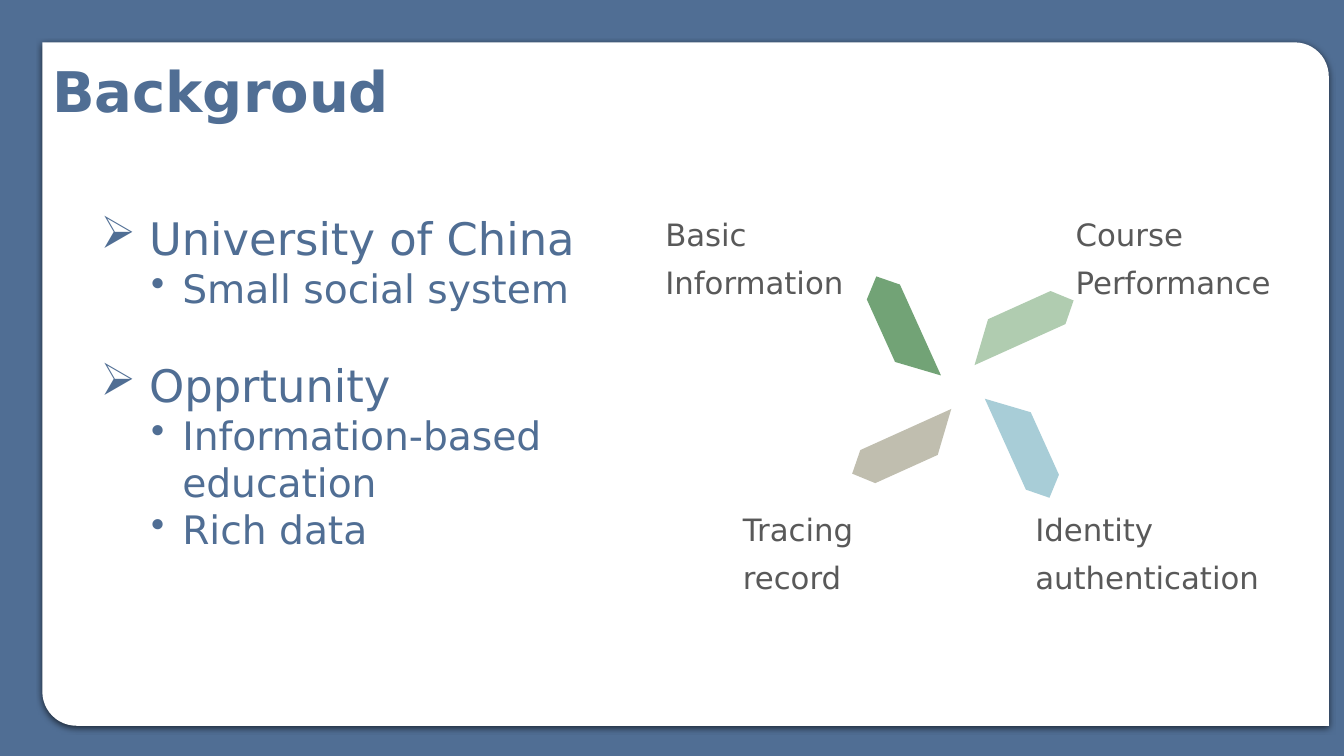
import math

import pptx
import pptx.dml.color
import pptx.enum.shapes
import pptx.enum.text
import pptx.util
from lxml import etree
from pptx.oxml.ns import qn
from pptx.util import Inches

NAVY = "506E94"
WHITE = "FFFFFF"
GREY = "595959"


def rgb(value):
    return pptx.dml.color.RGBColor.from_string(value)


class SlideBuilder:
    font_name = "DejaVu Sans"

    def __init__(self, slide):
        self.slide = slide

    def background(self, color):
        fill = self.slide.background.fill
        fill.solid()
        fill.fore_color.rgb = rgb(color)

    def paint(self, shape, color):
        shape.shadow.inherit = False
        shape.fill.solid()
        shape.fill.fore_color.rgb = rgb(color)
        shape.line.fill.background()

    def panel(self, left, top, width, height, rounding):
        panel = self.slide.shapes.add_shape(
            pptx.enum.shapes.MSO_SHAPE.ROUND_2_DIAG_RECTANGLE,
            Inches(left), Inches(top), Inches(width), Inches(height))
        panel.adjustments[0] = 0
        panel.adjustments[1] = rounding
        self.paint(panel, WHITE)
        effects = panel._element.spPr.find(qn("a:effectLst"))
        shadow = etree.SubElement(
            effects, qn("a:outerShdw"), blurRad=str(pptx.util.Pt(4.5)),
            dist=str(pptx.util.Pt(1.5)), dir="5400000", algn="t", rotWithShape="0")
        black = etree.SubElement(shadow, qn("a:srgbClr"), val="000000")
        etree.SubElement(black, qn("a:alpha"), val="63000")

    def blade(self, outline, center_x, center_y, angle, color):
        half_width = max(x for x, y in outline) / 2
        half_height = max(y for x, y in outline) / 2
        points = [(Inches(center_x - half_width + x), Inches(center_y - half_height + y))
                  for x, y in outline]
        builder = self.slide.shapes.build_freeform(*points[0])
        builder.add_line_segments(points[1:], close=True)
        blade = builder.convert_to_shape()
        blade.rotation = angle
        self.paint(blade, color)

    def frame(self, left, top, width, height):
        box = self.slide.shapes.add_textbox(
            Inches(left), Inches(top), Inches(width), Inches(height))
        box.text_frame.word_wrap = True
        return box.text_frame

    def style(self, paragraph, size, color, bold=False):
        for run in paragraph.runs:
            run.font.name = self.font_name
            run.font.size = pptx.util.Pt(size)
            run.font.color.rgb = rgb(color)
            run.font.bold = bold

    def title(self, wording, left, top, width, height):
        frame = self.frame(left, top, width, height)
        frame.text = wording
        self.style(frame.paragraphs[0], 40, NAVY, bold=True)

    def label(self, wording, left, top, width, height):
        frame = self.frame(left, top, width, height)
        frame.vertical_anchor = pptx.enum.text.MSO_ANCHOR.MIDDLE
        frame.text = wording
        frame.paragraphs[0].line_spacing = 1.3
        self.style(frame.paragraphs[0], 22, GREY)

    def bullet(self, paragraph, wording, level, mark, margin, hang, size):
        paragraph.text = wording
        paragraph.level = level
        properties = paragraph._p.get_or_add_pPr()
        properties.set("marL", str(Inches(margin)))
        properties.set("indent", str(-Inches(hang)))
        etree.SubElement(properties, qn("a:buChar"), char=mark)
        self.style(paragraph, size, NAVY)

    def outline(self, topics, left, top, width, height):
        frame = self.frame(left, top, width, height)
        for index, (topic, details) in enumerate(topics):
            heading = frame.add_paragraph() if index else frame.paragraphs[0]
            self.bullet(heading, topic, 0, "➢", 0.48, 0.48, 32)
            if index:
                heading.space_before = pptx.util.Pt(33)
            for detail in details:
                self.bullet(frame.add_paragraph(), detail, 1, "•", 0.81, 0.31, 28)


def main():
    deck = pptx.Presentation()
    deck.slide_width = Inches(13.33)
    deck.slide_height = Inches(7.5)
    page = SlideBuilder(deck.slides.add_slide(deck.slide_layouts[6]))

    page.background(NAVY)
    page.panel(0.42, 0.42, 12.76, 6.78, 0.05)
    page.title("Backgroud", 0.42, 0.51, 5.66, 0.77)
    page.outline([
        ("University of China", ["Small social system"]),
        ("Opprtunity", ["Information-based education", "Rich data"]),
    ], 0.9, 2.04, 5.92, 3.53)

    blade_outline = [(0, 0.36), (0.99, 0.36), (1.16, 0.18), (0.99, 0), (0.31, 0)]
    hub_x, hub_y = 9.55, 3.84
    reach_x, reach_y = 0.62, 0.57
    for turn, color in enumerate(["A8CDD7", "C0BEAF", "72A376", "B0CCB0"]):
        cos, sin = math.cos(turn * math.pi / 2), math.sin(turn * math.pi / 2)
        page.blade(blade_outline,
                   hub_x + reach_x * cos - reach_y * sin,
                   hub_y + reach_x * sin + reach_y * cos,
                   (65.7 + 90 * turn) % 360, color)

    upper, lower = 2.09, 5.02
    for wording, left, top, width in [
        ("Course Performance", 10.57, upper, 3.01),
        ("Identity authentication", 10.17, lower, 3.01),
        ("Basic Information", 6.5, upper, 2.02),
        ("Tracing record", 7.27, lower, 2.06),
    ]:
        page.label(wording, left, top, width, 0.83)

    deck.save("out.pptx")


if __name__ == "__main__":
    main()
